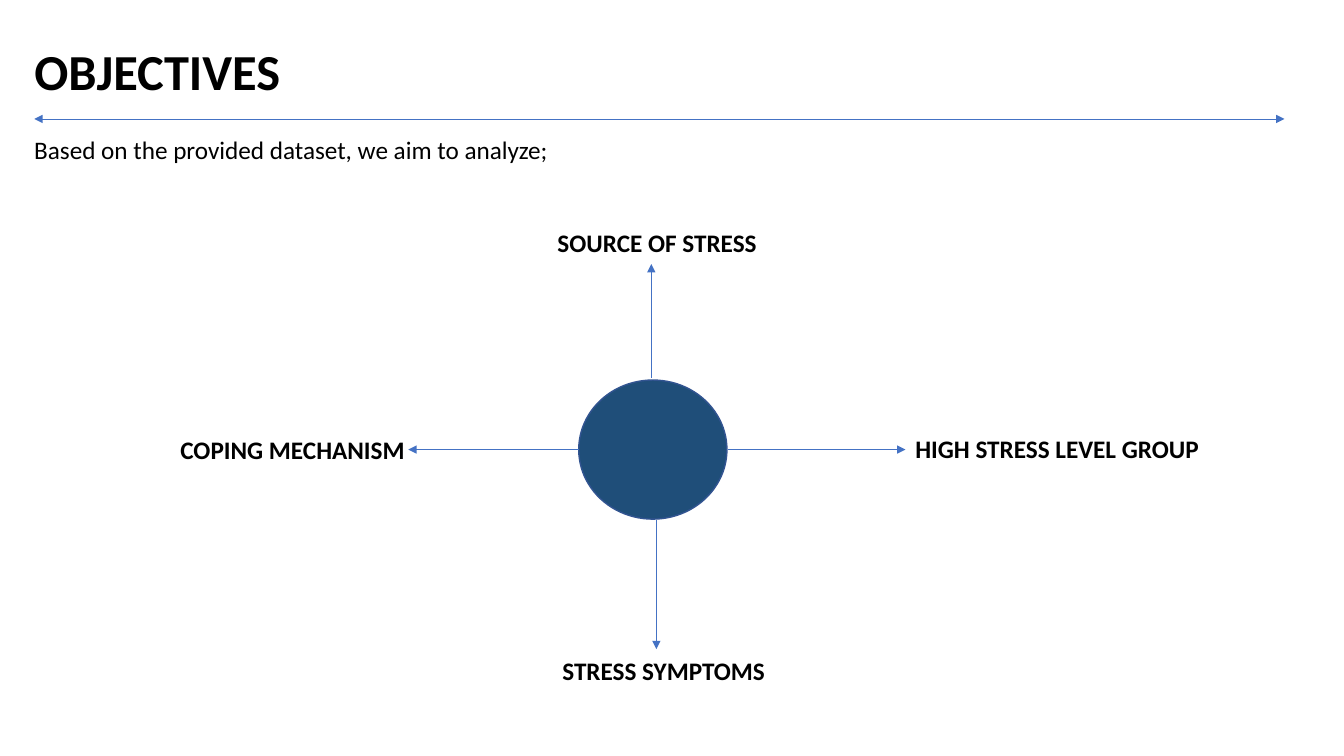
from lxml import etree
from pptx import Presentation
from pptx.dml.color import RGBColor
from pptx.enum import shapes, text
from pptx.oxml import ns
from pptx.util import Inches, Pt


def write(shape, wording, size, bold):
    frame = shape.text_frame
    frame.word_wrap = True
    frame.auto_size = text.MSO_AUTO_SIZE.NONE
    frame.vertical_anchor = text.MSO_ANCHOR.TOP
    paragraph = frame.paragraphs[0]
    paragraph.alignment = text.PP_ALIGN.LEFT
    run = paragraph.add_run()
    run.text = wording
    run.font.name = "Calibri"
    run.font.size = Pt(size)
    run.font.bold = bold
    run.font.color.rgb = RGBColor.from_string("000000")


def draw_arrow(slide, start, end, ends):
    """Draw a thin line with a triangle at each of the ends (headEnd, tailEnd)."""
    points = [Inches(value) for value in (*start, *end)]
    arrow = slide.shapes.add_connector(shapes.MSO_CONNECTOR.STRAIGHT, *points)
    arrow.line.color.rgb = RGBColor.from_string("4472C4")
    arrow.line.width = Pt(0.5)
    outline = arrow.line._get_or_add_ln()
    for end_name in ends:
        etree.SubElement(outline, ns.qn(f"a:{end_name}"), type="triangle")
    etree.SubElement(arrow._element.spPr, ns.qn("a:effectLst"))


presentation = Presentation()
presentation.slide_width = Inches(13.33)
presentation.slide_height = Inches(7.5)
slide = presentation.slides.add_slide(presentation.slide_layouts[5])

# Heading
title = slide.shapes.title
title.left, title.top = Inches(0.24), Inches(0.35)
title.width, title.height = Inches(5.25), Inches(0.71)
write(title, "OBJECTIVES", 36, True)
draw_arrow(slide, (0.34, 1.18), (12.74, 1.18), ["headEnd", "tailEnd"])

# Hub and its four arrows
hub = slide.shapes.add_shape(
    shapes.MSO_SHAPE.FLOWCHART_CONNECTOR,
    Inches(5.74), Inches(3.77), Inches(1.47), Inches(1.38))
hub.shadow.inherit = False
hub.fill.solid()
hub.fill.fore_color.rgb = RGBColor.from_string("1F4E79")
hub.line.color.rgb = RGBColor.from_string("325491")
hub.line.width = Pt(1)

spokes = [
    ((7.22, 4.46), (8.98, 4.46)),
    ((6.46, 3.75), (6.46, 2.62)),
    ((6.51, 5.16), (6.51, 6.44)),
    ((5.74, 4.46), (4.05, 4.46)),
]
for start, end in spokes:
    draw_arrow(slide, start, end, ["tailEnd"])

# Introduction and objectives: wording, left, top, width, bold
labels = [
    ("Based on the provided dataset, we aim to analyze;", 0.24, 1.28, 5.35, False),
    ("SOURCE OF STRESS", 5.43, 2.21, 2.38, True),
    ("COPING MECHANISM", 1.69, 4.26, 2.45, True),
    ("HIGH STRESS LEVEL GROUP", 8.98, 4.25, 3.11, True),
    ("STRESS SYMPTOMS", 5.48, 6.45, 2.27, True),
]
for wording, left, top, width, bold in labels:
    label = slide.shapes.add_textbox(
        Inches(left), Inches(top), Inches(width), Inches(0.4))
    write(label, wording, 18, bold)

presentation.save("out.pptx")
